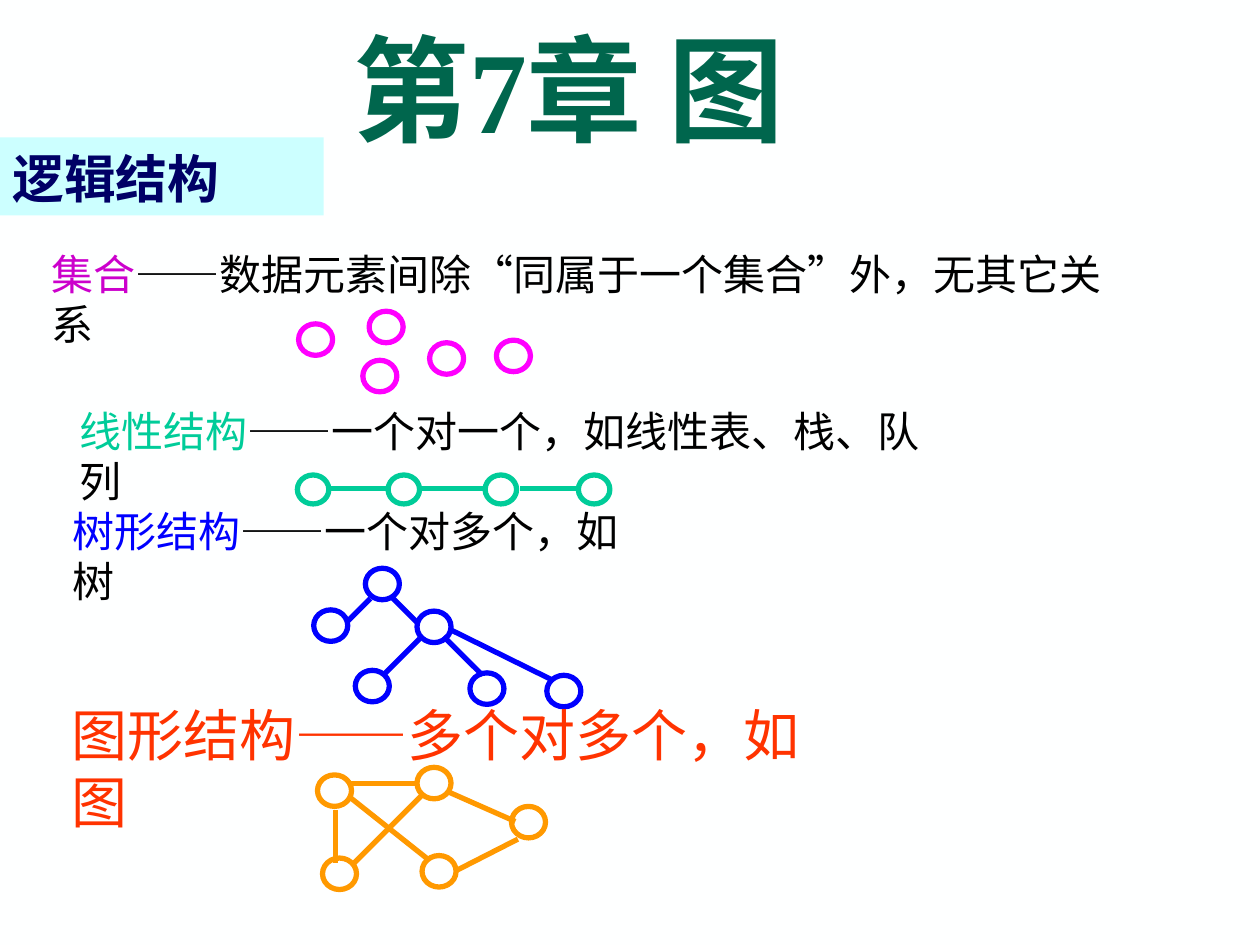
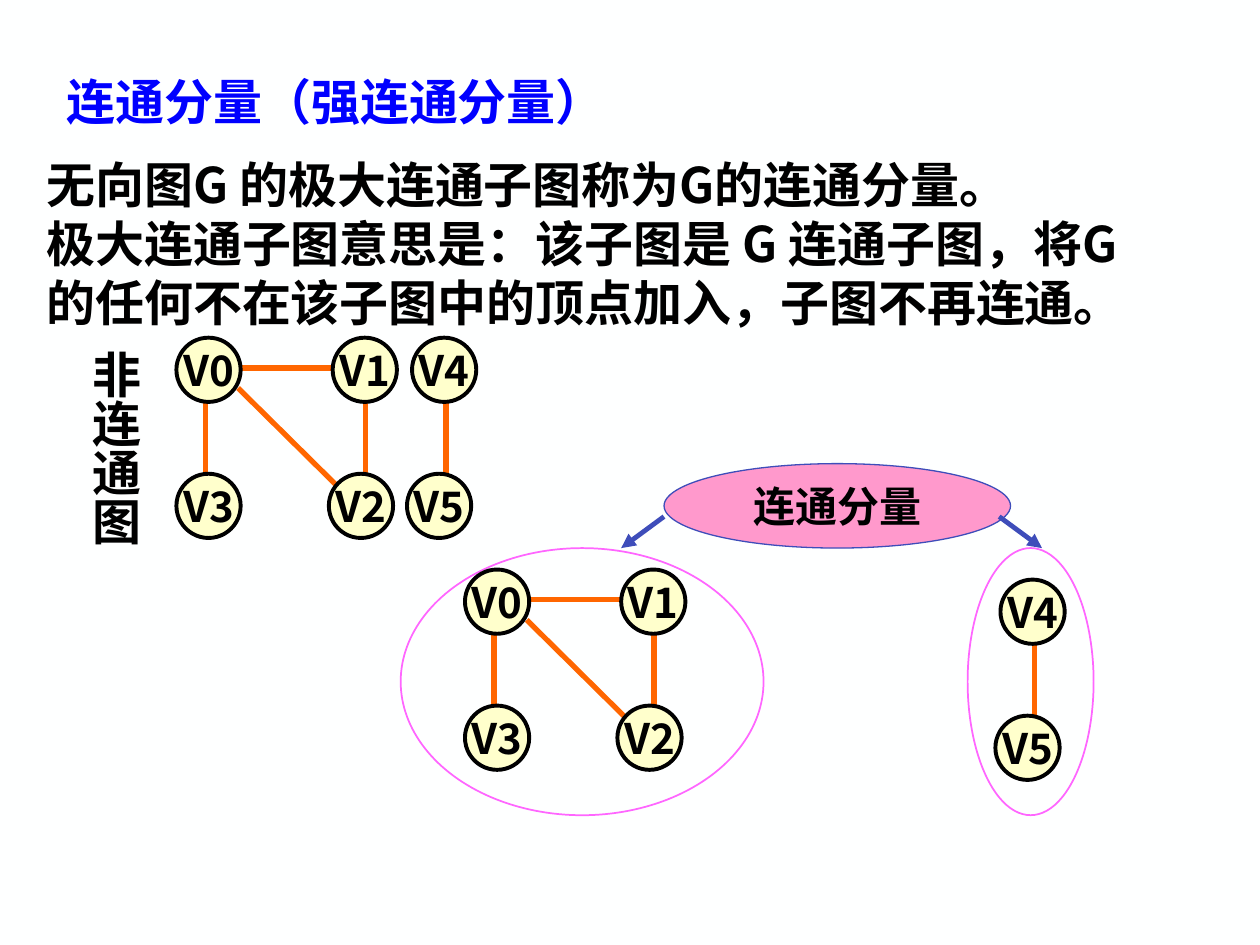
from lxml.etree import SubElement
from pptx import Presentation
from pptx.dml.color import RGBColor
from pptx.enum.shapes import MSO_CONNECTOR, MSO_SHAPE
from pptx.enum.text import MSO_ANCHOR, PP_ALIGN
from pptx.oxml.ns import qn
from pptx.util import Inches, Pt

SERIF, SANS, HEADING = "Times New Roman", "Noto Sans CJK SC", "DejaVu Sans"
BLACK, BLUE, ORANGE = "000000", "0000FF", "FF6600"
OVAL, EDGE, TEXT = MSO_SHAPE.OVAL, "edge", "text"

presentation = Presentation()
presentation.slide_width, presentation.slide_height = Inches(10), Inches(7.5)
CELL = presentation.slide_width / 100  # grid of 100 columns by 75 rows
ink = RGBColor.from_string


def place(slide, kind, box, line=None, weight=3, fill=None):
    """Add one item; box is left, top, width, height in cells, or both ends of an edge."""
    box = [round(value * CELL) for value in box]
    if kind == TEXT:
        return slide.shapes.add_textbox(*box)
    if kind == EDGE:
        item = slide.shapes.add_connector(MSO_CONNECTOR.STRAIGHT, *box)
    else:
        item = slide.shapes.add_shape(kind, *box)
        item.shadow.inherit = False
        if fill:
            item.fill.solid()
            item.fill.fore_color.rgb = ink(fill)
        else:
            item.fill.background()
    if line:
        item.line.color.rgb = ink(line)
        item.line.width = Pt(weight)
    else:
        item.line.fill.background()
    if kind == EDGE:
        SubElement(item._element.spPr, qn("a:effectLst"))
    return item


def write(item, runs, size, font=SERIF, bold=False, align=PP_ALIGN.LEFT,
          anchor=MSO_ANCHOR.TOP, wrap=True):
    """Fill an item with runs given as (text, colour) pairs."""
    frame = item.text_frame
    frame.word_wrap, frame.vertical_anchor = wrap, anchor
    paragraph = frame.paragraphs[0]
    paragraph.alignment = align
    paragraph.font.size, paragraph.font.name = Pt(size), font
    paragraph.font.bold = bold
    for words, colour in runs:
        for count, piece in enumerate(words.split("\n")):
            if count:
                paragraph.add_line_break()
            run = paragraph.add_run()
            run.text = piece
            run.font.color.rgb = ink(colour)
    return paragraph


slides = []
for _ in range(2):
    slide = presentation.slides.add_slide(presentation.slide_layouts[6])
    slide.background.fill.solid()
    slide.background.fill.fore_color.rgb = ink("FEFFFF")
    slides.append(slide)
structures, components = slides

# Slide 1: four logical structures, each a sketch of nodes and edges
sketches = [
    ("FF00FF", (2.7, 2.5),
     [(23.7, 25.7), (29.3, 24.7), (28.8, 28.6), (34.1, 27.2), (39.4, 27)], []),
    ("00CC99", (2.5, 2.3),
     [(23.6, 37.7), (30.8, 37.7), (38.5, 37.7), (45.9, 37.7)],
     [(26.1, 38.8, 30.7, 38.8), (33.2, 38.8, 38.6, 38.8), (41.3, 38.8, 45.7, 38.8)]),
    (BLUE, (2.7, 2.5),
     [(29, 45.1), (24.9, 48.4), (33.1, 48.5), (28.2, 53.2), (37.3, 53.4), (43.4, 53.6)],
     [(29.4, 47.5, 27.5, 49.4), (33.3, 50.7, 30.4, 53.6), (31, 47.3, 33.1, 49.4),
      (35.2, 50.5, 38.3, 53.6), (35.8, 50, 43.9, 54)]),
    ("FF9900", (2.7, 2.5),
     [(33.1, 60.9), (25.6, 68.1), (33.5, 67.9), (40.6, 64), (25.2, 61.5)],
     [(26.6, 64.3, 26.6, 68.5), (27.8, 63.3, 34.1, 68.3), (35.7, 62.9, 40.9, 65.2),
      (33.5, 63.1, 27.9, 68.7), (41.1, 66.6, 36.2, 69.1), (27.8, 62.2, 33.2, 62.2)]),
]
for colour, node_size, nodes, edges in sketches:
    for node in nodes:
        place(structures, OVAL, node + node_size, colour)
    for edge in edges:
        place(structures, EDGE, edge, colour)

RED = "FF3300"
definitions = [
    ((3.1, 19.2, 86, 5), 24, "集合", "CC00CC",
     "——数据元素间除“同属于一个集合”外，无其它关系", BLACK),
    ((5.3, 31.7, 69.3, 5), 24, "线性结构", "00CC99", "——一个对一个，如线性表、栈、队列", BLACK),
    ((4.8, 39.6, 46, 5), 24, "树形结构", BLUE, "——一个对多个，如树", BLACK),
    ((4.7, 55.1, 60.7, 6.4), 32, "图形结构", RED, "——多个对多个，如图", RED),
]
for box, size, term, term_colour, meaning, meaning_colour in definitions:
    write(place(structures, TEXT, box), [(term, term_colour), (meaning, meaning_colour)], size)

band = place(structures, MSO_SHAPE.RECTANGLE, (0, 10.9, 25.7, 6.2), fill="CCFFFF")
write(band, [("逻辑结构", "000066")], 29.6, bold=True, anchor=MSO_ANCHOR.BOTTOM)

GREEN = "00664D"
chapter = write(place(structures, TEXT, (10.5, 0.9, 69.3, 18.5)),
                [("第", GREEN), ("7", GREEN), ("章 图", GREEN)], 66, SANS, True, PP_ALIGN.CENTER)
chapter.runs[1].font.name = SERIF

# Slide 2: a disconnected graph and its connected components
write(place(components, TEXT, (4.3, 5.2, 60, 5.7)), [("连通分量（强连通分量）", BLUE)],
      28, HEADING, True)
write(place(components, TEXT, (2.7, 11.8, 90, 15)),
      [("无向图G 的极大连通子图称为G的连通分量。\n"
        "极大连通子图意思是：该子图是 G 连通子图，将G 的任何不在该子图中的顶点加入，子图不再连通。",
        BLACK)], 28, SANS, True)

side_label = place(components, TEXT, (5.4, 26.8, 6.6, 20.8))
write(side_label, [("非连通图", BLACK)], 28, SANS, True)
side_frame = side_label.text_frame
side_frame.margin_left = side_frame.margin_right = Inches(0.05)
side_frame.margin_top = side_frame.margin_bottom = Inches(0.1)
side_frame._txBody.bodyPr.set("vert", "eaVert")

for outline in [(31.8, 43.5, 28.8, 21.2), (76.8, 43.5, 10, 21.2)]:
    place(components, OVAL, outline, "FF66FF", 1)

# Nodes and edges are measured from each component's upper left corner
four_nodes = ({"V0": (0, 0), "V1": (12.4, 0), "V2": (12.1, 10.8), "V3": (0, 10.8)},
              [(4.9, 4, 13.2, 12.2), (2.3, 5, 2.3, 11.4), (5, 2.4, 12.8, 2.4), (15, 5, 15, 11.4)])
two_nodes = ({"V4": (0.4, 0), "V5": (0, 10.8)}, [(3.1, 4.6, 3.1, 11)])
for (left, top), (nodes, edges) in [((14, 26.8), four_nodes), ((32.3, 26.8), two_nodes),
                                    ((36.9, 45.2), four_nodes), ((79, 46), two_nodes)]:
    for x1, y1, x2, y2 in edges:
        place(components, EDGE, (left + x1, top + y1, left + x2, top + y2), ORANGE)
    for name, (x, y) in nodes.items():
        node = place(components, OVAL, (left + x, top + y, 5.1, 5.1), BLACK, 2.25, "FFFFCC")
        write(node, [(name, BLACK)], 24, SANS, True, PP_ALIGN.CENTER, MSO_ANCHOR.MIDDLE, False)

INDIGO = "3E4DBA"
caption = place(components, OVAL, (52.7, 36.8, 27.5, 6.7), INDIGO, 0.75, "FF99CC")
write(caption, [("连通分量", BLACK)], 24, SERIF, True, PP_ALIGN.CENTER, MSO_ANCHOR.MIDDLE, False)
for arrow in [(52.7, 41, 49.3, 43.5), (79.3, 41, 82.7, 43.5)]:
    pointer = place(components, EDGE, arrow, INDIGO, 2.75)
    SubElement(pointer._element.spPr.find(qn("a:ln")), qn("a:tailEnd"), type="triangle")

presentation.save("out.pptx")
